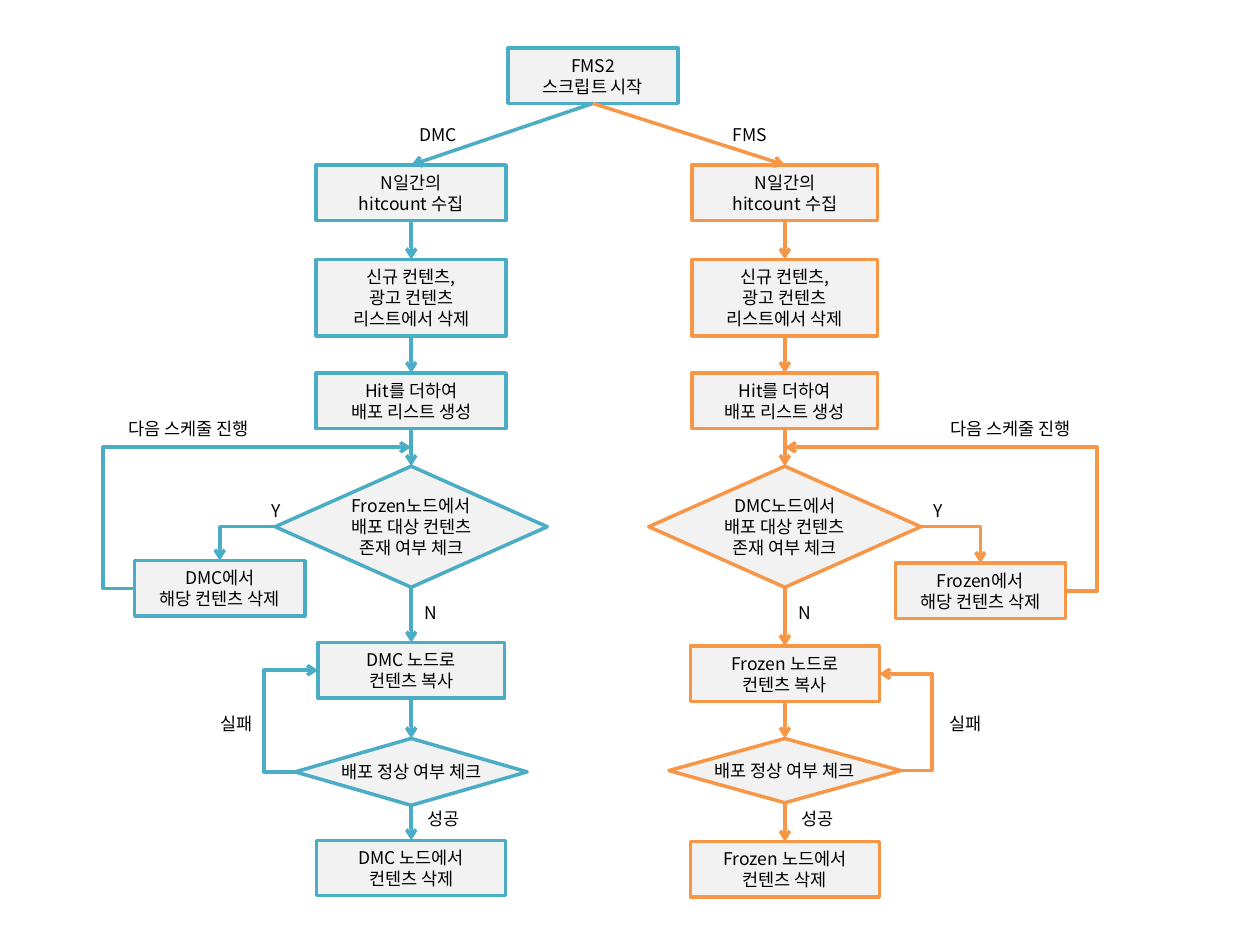
from lxml import etree
from pptx import Presentation
from pptx.dml.color import RGBColor
from pptx.enum.shapes import MSO_CONNECTOR, MSO_SHAPE
from pptx.enum.text import MSO_ANCHOR, PP_ALIGN
from pptx.oxml.ns import qn
from pptx.util import Pt

BOX, DECISION = MSO_SHAPE.RECTANGLE, MSO_SHAPE.FLOWCHART_DECISION
STRAIGHT, ELBOW = MSO_CONNECTOR.STRAIGHT, MSO_CONNECTOR.ELBOW
TOP, BOTTOM = 0, 2  # connection sites

THEME = {
    "font": "Noto Sans CJK KR",
    "size": Pt(10),
    "leading": Pt(12),
    "line": Pt(2),
    "text": RGBColor.from_string("000000"),
    "fill": RGBColor.from_string("F2F2F2"),
    "blue": RGBColor.from_string("4BACC6"),
    "orange": RGBColor.from_string("F79646"),
}
BOX_HEIGHT, SIDE_WIDTH, LOOP_GAP = 31.7, 97.2, 18
CHECK_WIDTH, VERIFY_WIDTH = 155.5, 132.5
CHECK_MIDDLE, RETURN_Y = 301, 255.6

presentation = Presentation()
presentation.slide_width, presentation.slide_height = Pt(720), Pt(540)
slide = presentation.slides.add_slide(presentation.slide_layouts[6])


def add_node(kind, center_x, top, width, height, lines, color=None):
    """Add a centred text node; without a colour it is a bare label."""
    bounds = Pt(center_x - width / 2), Pt(top), Pt(width), Pt(height)
    if color is None:
        shape = slide.shapes.add_textbox(*bounds)
    else:
        shape = slide.shapes.add_shape(kind, *bounds)
        shape.shadow.inherit = False
        shape.fill.solid()
        shape.fill.fore_color.rgb = THEME["fill"]
        shape.line.color.rgb = color
        shape.line.width = THEME["line"]
    frame = shape.text_frame
    frame.word_wrap = kind == BOX
    frame.vertical_anchor = MSO_ANCHOR.MIDDLE
    for index, line in enumerate(lines):
        paragraph = frame.add_paragraph() if index else frame.paragraphs[0]
        paragraph.alignment = PP_ALIGN.CENTER
        paragraph.line_spacing = THEME["leading"]
        run = paragraph.add_run()
        run.text = line
        run.font.size = THEME["size"]
        run.font.name = THEME["font"]
        run.font.color.rgb = THEME["text"]
        east_asian = etree.SubElement(run.font._element, qn("a:ea"))
        east_asian.set("typeface", THEME["font"])
    return shape


def add_arrow(kind, start, end, color, turn_x=None):
    """Add an arrow; an elbow turns at turn_x, or once at the end's x."""
    points = [Pt(value) for value in (*start, *end)]
    arrow = slide.shapes.add_connector(kind, *points)
    arrow.line.color.rgb = color
    arrow.line.width = THEME["line"]
    properties = arrow._element.spPr
    tail = etree.SubElement(properties.find(qn("a:ln")), qn("a:tailEnd"))
    tail.set("type", "arrow")
    etree.SubElement(properties, qn("a:effectLst"))
    geometry = properties.find(qn("a:prstGeom"))
    if turn_x is not None:
        ratio = (turn_x - start[0]) / (end[0] - start[0])
        guide = etree.SubElement(geometry.find(qn("a:avLst")), qn("a:gd"))
        guide.set("name", "adj1")
        guide.set("fmla", f"val {round(ratio * 100000)}")
    elif kind == ELBOW:
        geometry.set("prst", "bentConnector2")
    return arrow


# Start
start_box = add_node(BOX, 338.8, 27.4, SIDE_WIDTH, BOX_HEIGHT,
                     ["FMS2", "스크립트 시작"], THEME["blue"])

# Two mirrored branches; side is the direction of the loops
branches = [
    {"name": "DMC", "name_x": 250.5, "color": THEME["blue"], "axis": 235,
     "side": -1, "checked": "Frozen", "target": "DMC",
     "width": 108.5, "copy_width": 106.5, "copy_top": 367.2,
     "verify_height": 38.2, "end_top": 480.2,
     "side_x": 125.6, "side_top": 320.4,
     "yes_x": 156.2, "next_x": 107.6, "fail_x": 135.4},
    {"name": "FMS", "name_x": 428.5, "color": THEME["orange"], "axis": 448.5,
     "side": 1, "checked": "DMC", "target": "Frozen",
     "width": 106, "copy_width": 108, "copy_top": 369.2,
     "verify_height": 36.7, "end_top": 481,
     "side_x": 560.2, "side_top": 321.8,
     "yes_x": 534.2, "next_x": 577.4, "fail_x": 551.6},
]
for branch in branches:
    axis, side, color = branch["axis"], branch["side"], branch["color"]
    target, width = branch["target"], branch["width"]

    # Main column
    steps = [
        (BOX, 94.3, width, BOX_HEIGHT, ["N일간의", "hitcount 수집"]),
        (BOX, 148.3, width, 43.7,
         ["신규 컨텐츠,", "광고 컨텐츠", "리스트에서 삭제"]),
        (BOX, 213.2, width, BOX_HEIGHT, ["Hit를 더하여", "배포 리스트 생성"]),
        (DECISION, 266.4, CHECK_WIDTH, 69.2,
         [branch["checked"] + "노드에서", "배포 대상 컨텐츠", "존재 여부 체크"]),
        (BOX, branch["copy_top"], branch["copy_width"], BOX_HEIGHT,
         [target + " 노드로", "컨텐츠 복사"]),
        (DECISION, 422, VERIFY_WIDTH, branch["verify_height"],
         ["배포 정상 여부 체크"]),
        (BOX, branch["end_top"], 108, BOX_HEIGHT,
         [target + " 노드에서", "컨텐츠 삭제"]),
    ]
    previous = start_box
    for kind, top, step_width, height, lines in steps:
        node = add_node(kind, axis, top, step_width, height, lines, color)
        arrow = add_arrow(STRAIGHT, (axis, top - 30), (axis, top), color)
        arrow.begin_connect(previous, BOTTOM)
        arrow.end_connect(node, TOP)
        previous = node

    # Side box and its way back to the main column
    side_x, side_top = branch["side_x"], branch["side_top"]
    add_node(BOX, side_x, side_top, SIDE_WIDTH, BOX_HEIGHT,
             [target + "에서", "해당 컨텐츠 삭제"], color)
    add_arrow(ELBOW, (axis + side * CHECK_WIDTH / 2, CHECK_MIDDLE),
              (side_x, side_top), color)
    side_edge = side_x + side * SIDE_WIDTH / 2
    add_arrow(ELBOW, (side_edge, side_top + BOX_HEIGHT / 2), (axis, RETURN_Y),
              color, side_edge + side * LOOP_GAP)

    # Retry loop
    verify_edge = axis + side * VERIFY_WIDTH / 2
    add_arrow(ELBOW, (verify_edge, 422 + branch["verify_height"] / 2),
              (axis + side * branch["copy_width"] / 2,
               branch["copy_top"] + BOX_HEIGHT / 2),
              color, verify_edge + side * LOOP_GAP)

    # Labels
    labels = [
        (branch["name"], branch["name_x"], 67.3, 36),
        ("다음 스케줄 진행", branch["next_x"], 235, SIDE_WIDTH),
        ("Y", branch["yes_x"], 281.8, 16),
        ("N", axis + 8.5, 340.6, 16),
        ("실패", branch["fail_x"], 403.6, 34.6),
        ("성공", axis + 18.5, 458.3, 34.6),
    ]
    for text, center_x, top, label_width in labels:
        add_node(None, center_x, top, label_width, 19.4, [text])

presentation.save("out.pptx")
